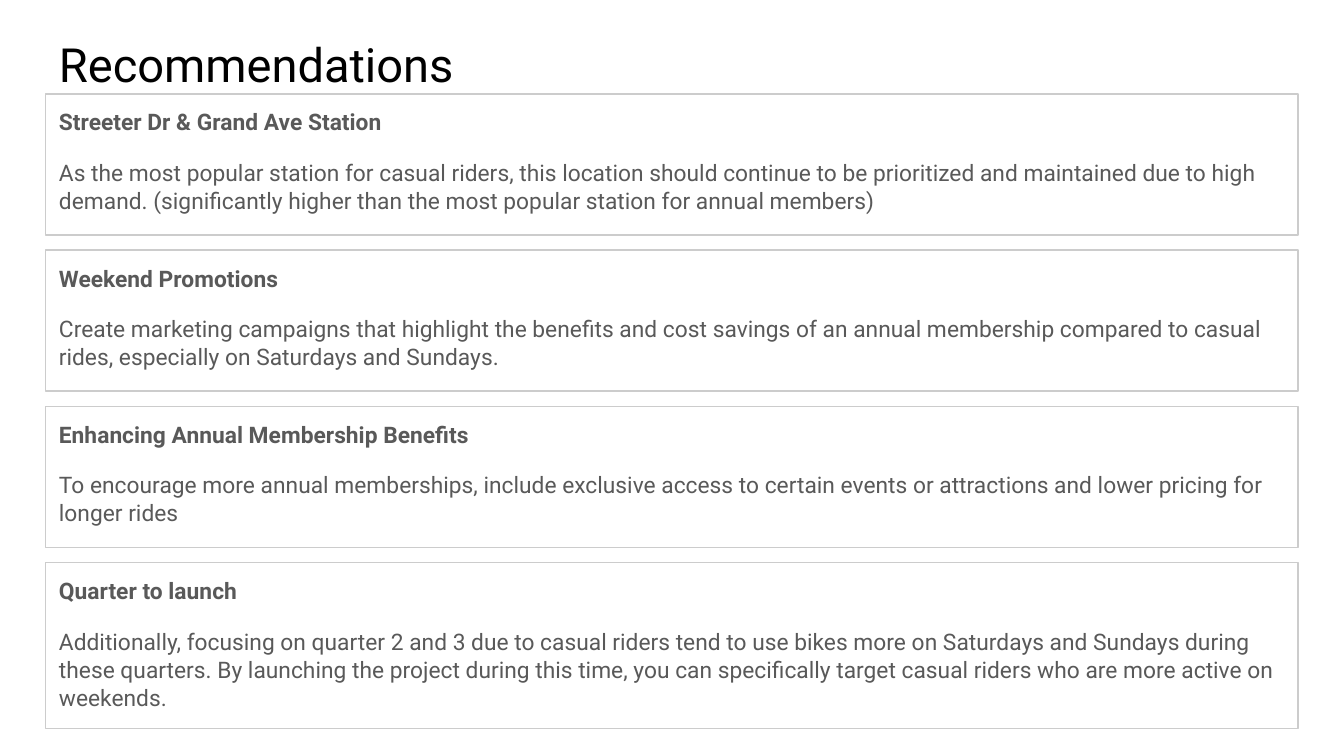
import pptx
import pptx.util
import pptx.dml.color
import pptx.enum.shapes
import pptx.enum.text

Pt = pptx.util.Pt
ANCHOR = pptx.enum.text.MSO_ANCHOR

LEFT, WIDTH = 24.5, 671
CARDS_TOP, CARD_HEIGHT, LAST_CARD_HEIGHT, GAP = 50.3, 75.6, 88.8, 8.1

RECOMMENDATIONS = [
    ("Streeter Dr & Grand Ave Station",
     "As the most popular station for casual riders, this location should continue to be "
     "prioritized and maintained due to high demand. (significantly higher than the most "
     "popular station for annual members)"),
    ("Weekend Promotions",
     "Create marketing campaigns that highlight the benefits and cost savings of an annual "
     "membership compared to casual rides, especially on Saturdays and Sundays."),
    ("Enhancing Annual Membership Benefits",
     "To encourage more annual memberships, include exclusive access to certain events or "
     "attractions and lower pricing for longer rides"),
    ("Quarter to launch",
     "Additionally, focusing on quarter 2 and 3 due to casual riders tend to use bikes more "
     "on Saturdays and Sundays during these quarters. By launching the project during this "
     "time, you can specifically target casual riders who are more active on weekends."),
]


def color(value):
    return pptx.dml.color.RGBColor.from_string(value)


def set_frame(tf, anchor):
    tf.word_wrap = True
    tf.vertical_anchor = anchor
    tf.margin_left = tf.margin_right = tf.margin_top = tf.margin_bottom = Pt(7.2)


def format_paragraph(p, size, hex_color, bold=False):
    p.alignment = pptx.enum.text.PP_ALIGN.LEFT
    for r in p.runs:
        r.font.name = "Roboto"
        r.font.size = Pt(size)
        r.font.bold = bold
        r.font.color.rgb = color(hex_color)


def add_title(s, text, left, top, width, height):
    sp = s.shapes.add_textbox(Pt(left), Pt(top), Pt(width), Pt(height))
    tf = sp.text_frame
    set_frame(tf, ANCHOR.BOTTOM)
    tf.text = text
    format_paragraph(tf.paragraphs[0], 25.2, "000000")


def add_card(s, heading, body, left, top, width, height):
    sp = s.shapes.add_shape(pptx.enum.shapes.MSO_SHAPE.RECTANGLE,
                            Pt(left), Pt(top), Pt(width), Pt(height))
    sp.shadow.inherit = False
    sp.fill.background()
    sp.line.color.rgb = color("CCCCCC")
    sp.line.width = Pt(0.75)
    tf = sp.text_frame
    set_frame(tf, ANCHOR.TOP)
    tf.text = f"{heading}\n{body}"
    for p, bold in zip(tf.paragraphs, (True, False)):
        p.line_spacing = 1.03
        format_paragraph(p, 12.2, "595959", bold)
    tf.paragraphs[1].space_before = Pt(12)


def add_cards(s, left, top, width):
    """Stack the cards downwards; the last one is taller for its third line."""
    for i, (heading, body) in enumerate(RECOMMENDATIONS):
        last = i == len(RECOMMENDATIONS) - 1
        add_card(s, heading, body, left, top + i * (CARD_HEIGHT + GAP), width,
                 LAST_CARD_HEIGHT if last else CARD_HEIGHT)


def main():
    prs = pptx.Presentation()
    prs.slide_width, prs.slide_height = Pt(720), Pt(405)
    s = prs.slides.add_slide(prs.slide_layouts[6])
    add_title(s, "Recommendations", LEFT, 10.8, WIDTH, 45.4)
    add_cards(s, LEFT, CARDS_TOP, WIDTH)
    prs.save("out.pptx")


if __name__ == "__main__":
    main()
